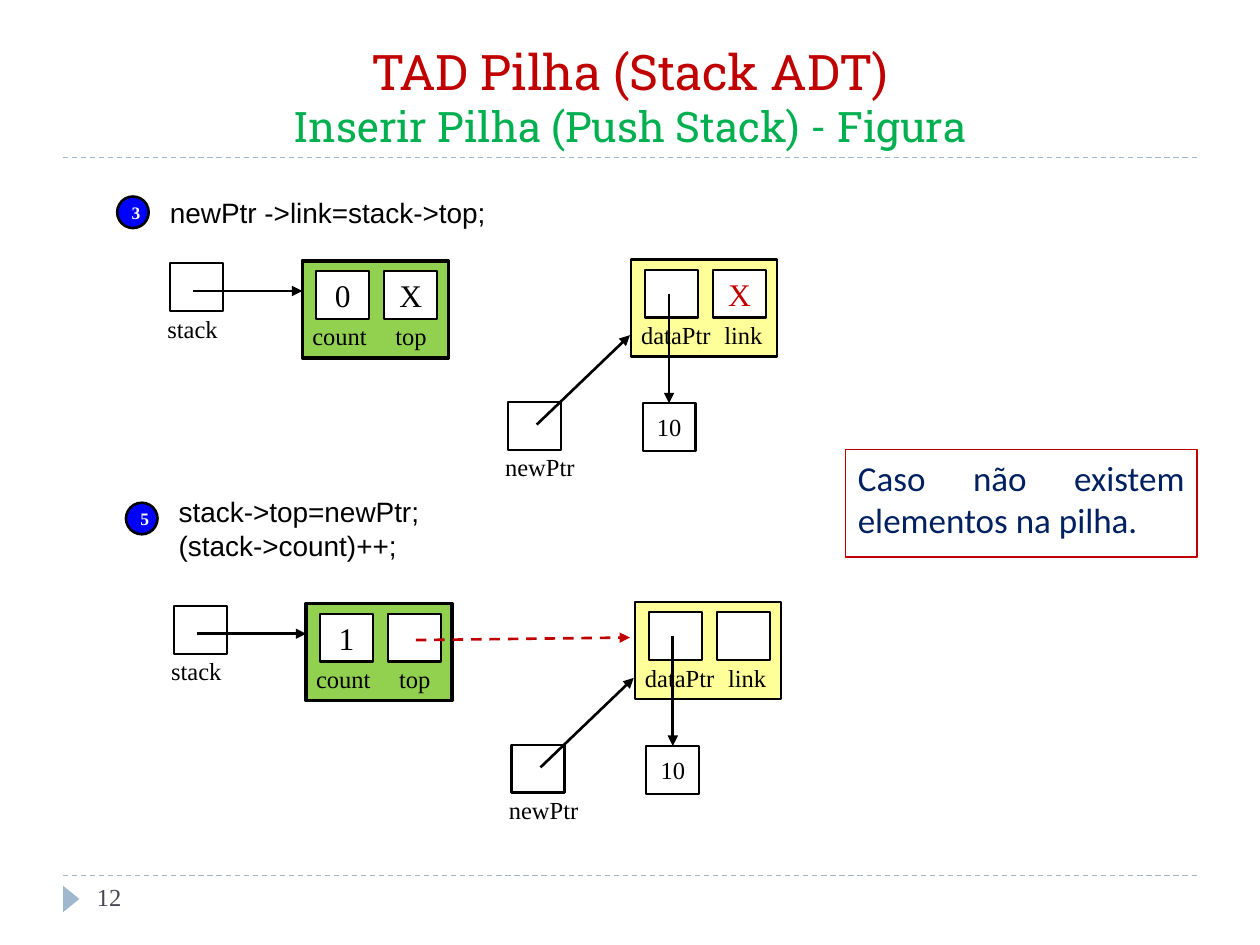
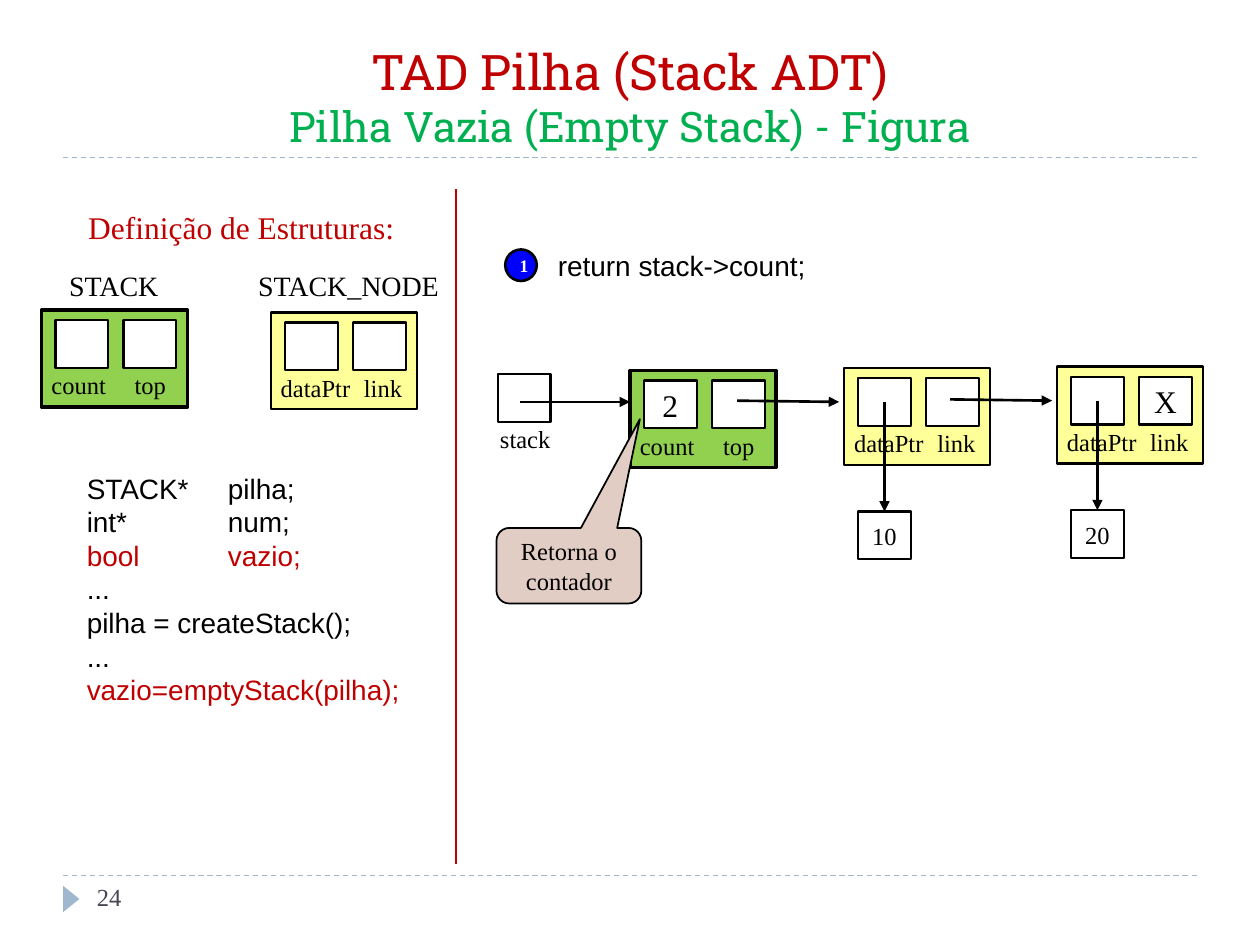
from copy import deepcopy

from lxml import etree
from pptx import Presentation
from pptx.dml.color import RGBColor
from pptx.enum import dml, shapes, text
from pptx.oxml import ns
from pptx.util import Inches, Pt

BLACK = RGBColor(0x00, 0x00, 0x00)
WHITE = RGBColor(0xFF, 0xFF, 0xFF)
RED = RGBColor(0xC0, 0x00, 0x00)
TITLE_GREEN = RGBColor(0x00, 0xB0, 0x50)
HEADER_GREEN = RGBColor(0x92, 0xD0, 0x50)
NODE_YELLOW = RGBColor(0xFF, 0xFF, 0x99)
STEP_BLUE = RGBColor(0x00, 0x00, 0xFF)
NAVY = RGBColor(0x00, 0x20, 0x60)
BAND = RGBColor(0x9F, 0xB8, 0xCD)
FOOTER_GRAY = RGBColor(0x46, 0x46, 0x53)
CALLOUT_PINK = RGBColor(0xE2, 0xCD, 0xC5)

SERIF, SANS, TITLE_FONT, NOTE_FONT = "Times New Roman", "Arial", "Roboto Slab", "Calibri"
RECT = shapes.MSO_SHAPE.RECTANGLE
LEFT, CENTER = text.PP_ALIGN.LEFT, text.PP_ALIGN.CENTER
MIDDLE, TOP = text.MSO_ANCHOR.MIDDLE, text.MSO_ANCHOR.TOP
CELL_W, CELL_H = 0.42, 0.38
LABEL_H = 0.34
STRUCT_W, STRUCT_H = 1.16, 0.77


def style_runs(para, size, color, font=SERIF, bold=False):
    for span in para.runs:
        span.font.size = Pt(size)
        span.font.name = font
        span.font.bold = bold
        span.font.color.rgb = color


def write(shape, words, size, color=BLACK, font=SERIF, align=LEFT, anchor=TOP, bold=False):
    frame = shape.text_frame
    frame.word_wrap = True
    frame.vertical_anchor = anchor
    frame.text = words
    for para in frame.paragraphs:
        para.alignment = align
        style_runs(para, size, color, font, bold)


def add_label(tree, words, left, top, width, height=LABEL_H, size=14, **look):
    label = tree.add_textbox(Inches(left), Inches(top), Inches(width), Inches(height))
    write(label, words, size, **look)
    return label


def add_box(tree, left, top, width, height, fill=WHITE, line=BLACK, weight=1.25, kind=RECT):
    """Add a plain preset shape; a fill or line of None is left out."""
    box = tree.add_shape(kind, Inches(left), Inches(top), Inches(width), Inches(height))
    box.shadow.inherit = False
    if fill is None:
        box.fill.background()
    else:
        box.fill.solid()
        box.fill.fore_color.rgb = fill
    if line is None:
        box.line.fill.background()
    else:
        box.line.color.rgb = line
        box.line.width = Pt(weight)
    return box


def add_cell(tree, left, top, value="", size=18, color=BLACK):
    cell = add_box(tree, left, top, CELL_W, CELL_H)
    if value:
        write(cell, value, size, color, align=CENTER, anchor=MIDDLE)
    return cell


def add_line(tree, start, end, color=BLACK, weight=1.5, dashed=False, arrow=False):
    ends = [Inches(value) for value in (*start, *end)]
    line = tree.add_connector(shapes.MSO_CONNECTOR.STRAIGHT, *ends)
    line.line.color.rgb = color
    line.line.width = Pt(weight)
    if dashed:
        line.line.dash_style = dml.MSO_LINE.DASH
    if arrow:
        etree.SubElement(line.line._get_or_add_ln(), ns.qn("a:tailEnd"), type="triangle")
    etree.SubElement(line._element.spPr, ns.qn("a:effectLst"))
    return line


def add_page(deck, subtitle, number):
    """Add a page with the shared title, dashed rules and page number."""
    page = deck.slides.add_slide(deck.slide_layouts[5])
    tree = page.shapes
    for rule_top in (6.95, 1.25):
        add_line(tree, (0.5, rule_top), (9.5, rule_top), BAND, 0.75, dashed=True)
    marker = add_box(tree, 0.46, 7.07, 0.21, 0.13, BAND, None,
                     kind=shapes.MSO_SHAPE.ISOSCELES_TRIANGLE)
    marker.rotation = 90

    title = tree.title
    title.left, title.top, title.width, title.height = map(Inches, (0.5, 0.25, 9, 1))
    write(title, f"TAD Pilha (Stack ADT)\v{subtitle}", 28, RED, TITLE_FONT, CENTER,
          text.MSO_ANCHOR.BOTTOM)
    title.text_frame.auto_size = text.MSO_AUTO_SIZE.NONE
    para = title.text_frame.paragraphs[0]
    heading, subheading = para.runs
    para._p.find(ns.qn("a:br")).append(deepcopy(heading._r.rPr))
    subheading.font.size = Pt(24)
    subheading.font.color.rgb = TITLE_GREEN

    add_label(tree, str(number), 0.67, 6.95, 2.17, 0.4, color=FOOTER_GRAY)
    return tree


def add_struct(tree, left, top, fill, weight, fields, values, value_color):
    """Add a record with two cells; fields holds (name, left, width) for each."""
    record = tree.add_group_shape().shapes
    add_box(record, left, top, STRUCT_W, STRUCT_H, fill, weight=weight)
    for cell_left, (name, name_left, width), value in zip((0.11, 0.65), fields, values):
        add_cell(record, left + cell_left, top + 0.08, value, color=value_color)
        add_label(record, name, left + name_left, top + 0.43, width)


def add_header(tree, left, top, count="", top_value=""):
    add_struct(tree, left, top, HEADER_GREEN, 2,
               (("count", -0.02, 0.65), ("top", 0.64, 0.46)), (count, top_value), BLACK)


def add_node(tree, left, top, link="", link_color=BLACK):
    add_struct(tree, left, top, NODE_YELLOW, 1.25,
               (("dataPtr", -0.02, 0.77), ("link", 0.64, 0.52)), ("", link), link_color)


def add_data(tree, left, top, value, shift=0.11):
    """Hang a data cell under the node at left, top."""
    cell = add_cell(tree, left + shift, top + 1.14, value, size=14)
    middle = left + shift + CELL_W / 2
    arrow = add_line(tree, (middle, top + 0.27), (middle, top + 1.14), arrow=True)
    arrow.end_connect(cell, 0)


def add_pointer(tree, name, left, top, width, start, end, label_left=-0.12):
    """Add a named pointer cell; start and end of its arrow are relative to it."""
    add_cell(tree, left, top)
    add_label(tree, name, left + label_left, top + 0.35, width)
    add_line(tree, (left + start[0], top + start[1]), (left + end[0], top + end[1]), arrow=True)


def add_stack_pointer(tree, left, top, label_left=-0.12):
    add_pointer(tree, "stack", left, top, 0.63, (0.18, 0.22), (1.05, 0.22), label_left)


def add_step(tree, number, code, left, top, width, height=0.37, badge_top=0.06):
    add_label(tree, code, left, top, width, height, 16, font=SANS)
    badge = add_box(tree, left - 0.32, top + badge_top, 0.25, 0.25, STEP_BLUE, weight=1.5,
                    kind=shapes.MSO_SHAPE.OVAL)
    write(badge, str(number), 10, WHITE, align=CENTER, anchor=MIDDLE, bold=True)


def add_push_state(tree, left, top, count, top_value, link):
    """Draw stack, header and new node; left, top is the header corner."""
    add_stack_pointer(tree, left - 1.05, top + 0.02)
    add_header(tree, left, top, count, top_value)
    add_pointer(tree, "newPtr", left + 1.63, top + 1.12, 0.78, (0.23, 0.18), (0.97, -0.53))
    node_left, node_top = left + 2.61, top - 0.01
    add_node(tree, node_left, node_top, link, RED)
    add_data(tree, node_left, node_top, "10", shift=0.09)


def build_push_page(deck):
    tree = add_page(deck, "Inserir Pilha (Push Stack) - Figura", 12)
    add_step(tree, 3, "newPtr ->link=stack->top;", 1.25, 1.5, 2.74)
    add_push_state(tree, 2.4, 2.07, "0", "X", "X")
    add_step(tree, 5, "stack->top=newPtr;\n(stack->count)++;", 1.32, 3.88, 2.14, 0.64, 0.11)
    add_push_state(tree, 2.43, 4.79, "1", "", "")
    add_line(tree, (3.3, 5.08), (5, 5.06), RED, dashed=True, arrow=True)
    note = add_box(tree, 6.71, 3.57, 2.79, 0.85, None, RED, 0.75)
    write(note, "Caso não existem elementos na pilha.", 20, NAVY, NOTE_FONT,
          text.PP_ALIGN.JUSTIFY)


def add_code(tree, left, top):
    lines = ("STACK*\tpilha;", "int*\tnum;", "bool\tvazio;", "...",
             "pilha = createStack();", "...", "vazio=emptyStack(pilha);")
    code = add_label(tree, "\n".join(lines), left, top, 2.85, 1.99, 16, font=SANS)
    for para in code.text_frame.paragraphs:
        if "\t" in para.text:
            stops = etree.SubElement(para._p.get_or_add_pPr(), ns.qn("a:tabLst"))
            etree.SubElement(stops, ns.qn("a:tab"), pos=str(Inches(1.12)), algn="l")
        if "vazio" in para.text:
            style_runs(para, 16, RED, SANS)


def add_definitions(tree):
    add_label(tree, "Definição de Estruturas:", 0.59, 1.6, 2.65, 0.4, 18,
              color=RED, align=CENTER)
    add_label(tree, "STACK", 0.45, 2.08, 0.95, 0.37, 16)
    add_header(tree, 0.33, 2.46)
    add_label(tree, "STACK_NODE", 1.95, 2.08, 1.67, 0.37, 16)
    add_node(tree, 2.15, 2.48)
    add_code(tree, 0.59, 3.69)


def add_linked_stack(tree, left, top):
    """Draw the stack with its two nodes; left, top is the header corner."""
    add_stack_pointer(tree, left - 1.05, top + 0.03, label_left=-0.08)
    add_header(tree, left, top, "2")
    for index, (value, link) in enumerate((("10", ""), ("20", "X"))):
        node_left = left + 1.7 + 1.69 * index
        node_top = top - 0.02 - 0.01 * index
        add_node(tree, node_left, node_top, link)
        add_data(tree, node_left, node_top, value)
        add_line(tree, (node_left - 0.85, node_top + 0.26),
                 (node_left - 0.04, node_top + 0.27), arrow=True)


def build_empty_page(deck):
    tree = add_page(deck, "Pilha Vazia (Empty Stack) - Figura", 24)
    add_definitions(tree)
    add_line(tree, (3.62, 1.5), (3.62, 6.86), RED)
    add_linked_stack(tree, 5, 2.94)
    add_step(tree, 1, "return stack->count;", 4.33, 1.92, 2.24)
    callout = add_box(tree, 3.94, 4.19, 1.15, 0.6, CALLOUT_PINK, weight=1,
                      kind=shapes.MSO_SHAPE.ROUNDED_RECTANGULAR_CALLOUT)
    for index, value in enumerate((0.49, -1.94, 0.17)):
        callout.adjustments[index] = value
    write(callout, "Retorna o contador", 14, align=CENTER, anchor=MIDDLE)


def main():
    deck = Presentation()
    deck.slide_width, deck.slide_height = Inches(10), Inches(7.5)
    build_push_page(deck)
    build_empty_page(deck)
    deck.save("out.pptx")


if __name__ == "__main__":
    main()
